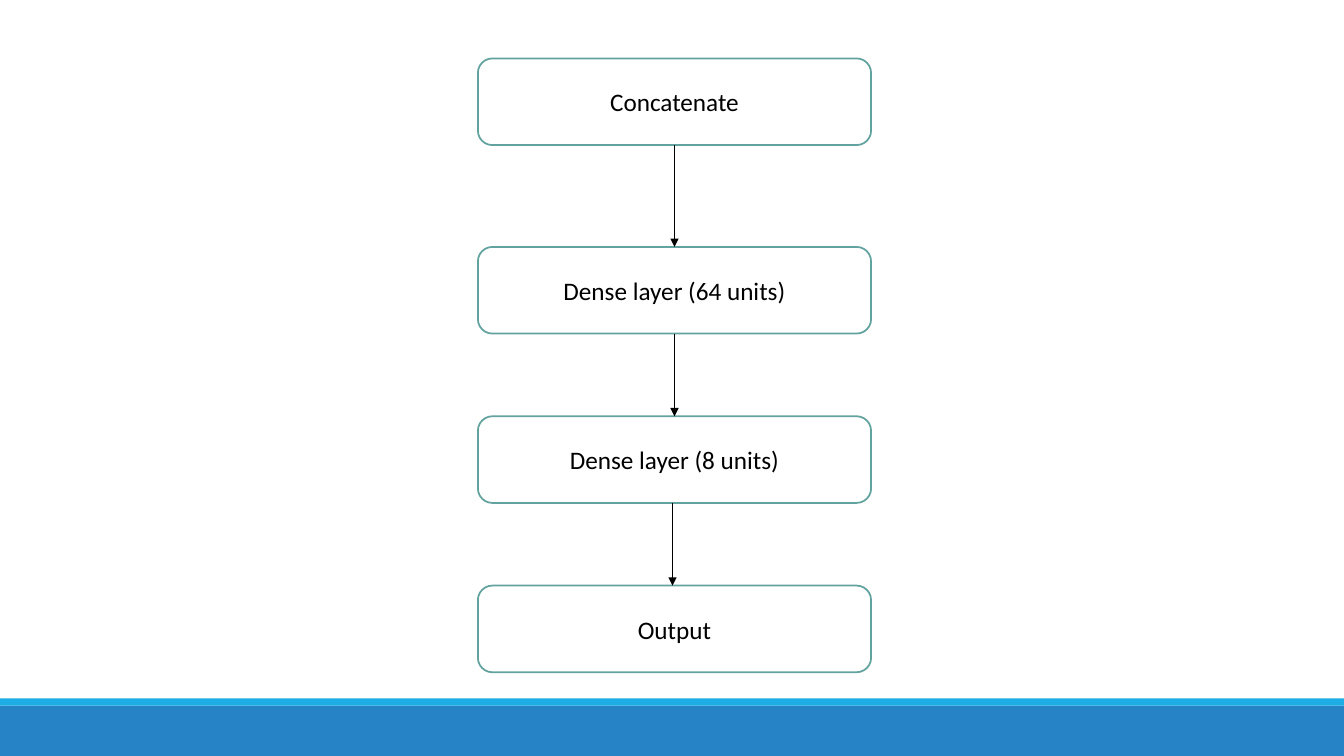
from pptx import Presentation
from pptx import util as u
from pptx.dml.color import RGBColor
from pptx.enum import shapes, text
from pptx.oxml.ns import qn
from lxml import etree

# Fine grid: 1333 columns by 750 rows
COLUMNS, ROWS = 1333, 750
CELL = u.Inches(0.01)

STEPS = ["Concatenate", "Dense layer (64 units)", "Dense layer (8 units)", "Output"]
GAPS = [101, 82, 82]      # rows between successive steps
ARROW_SHIFTS = [0, 0, -2]  # columns from the centre line
STEP_ROWS = 86


def colour(value):
    return RGBColor.from_string(value)


def add_block(slide, kind, box, fill, outline=None):
    block = slide.shapes.add_shape(kind, *(n * CELL for n in box))
    block.shadow.inherit = False
    block.fill.solid()
    block.fill.fore_color.rgb = colour(fill)
    if outline:
        block.line.color.rgb = colour(outline)
        block.line.width = u.Pt(1.25)
    else:
        block.line.fill.background()
    return block


def add_step(slide, box, label):
    step = add_block(slide, shapes.MSO_SHAPE.ROUNDED_RECTANGLE, box, "FFFFFF", "62A39F")
    frame = step.text_frame
    frame.word_wrap = True
    frame.vertical_anchor = text.MSO_ANCHOR.MIDDLE
    line = frame.paragraphs[0]
    line.alignment = text.PP_ALIGN.CENTER
    run = line.add_run()
    run.text = label
    run.font.name = "Calibri"
    run.font.size = u.Pt(18)
    run.font.color.rgb = colour("000000")


def add_arrow(slide, column, start, end):
    arrow = slide.shapes.add_connector(
        shapes.MSO_CONNECTOR.STRAIGHT,
        column * CELL, start * CELL, column * CELL, end * CELL)
    arrow.line.color.rgb = colour("000000")
    arrow.line.width = u.Pt(1)
    etree.SubElement(arrow.line._get_or_add_ln(), qn("a:tailEnd"), type="triangle")
    etree.SubElement(arrow._element.spPr, qn("a:effectLst"))


def draw_footer(slide, box):
    left, top, width, height = box
    accent = 7
    bands = [(top + accent, height - accent, "2683C6"), (top, accent, "1CADE4")]
    for band_top, band_height, fill in bands:
        add_block(slide, shapes.MSO_SHAPE.RECTANGLE,
                  (left, band_top, width, band_height), fill)


def draw_layer_chain(slide, box):
    left, top, width, _ = box
    # Each step starts one step height and one gap below the last
    tops = [top + i * STEP_ROWS + sum(GAPS[:i]) for i in range(len(STEPS))]
    for step_top, label in zip(tops, STEPS):
        add_step(slide, (left, step_top, width, STEP_ROWS), label)
    # Arrows join neighbouring steps
    for upper, lower, shift in zip(tops, tops[1:], ARROW_SHIFTS):
        add_arrow(slide, left + width // 2 + shift, upper + STEP_ROWS, lower)


deck = Presentation()
deck.slide_width, deck.slide_height = COLUMNS * CELL, ROWS * CELL
network = deck.slides.add_slide(deck.slide_layouts[6])
draw_footer(network, (0, 693, COLUMNS, 57))
draw_layer_chain(network, (474, 58, 390, 610))
deck.save("out.pptx")
